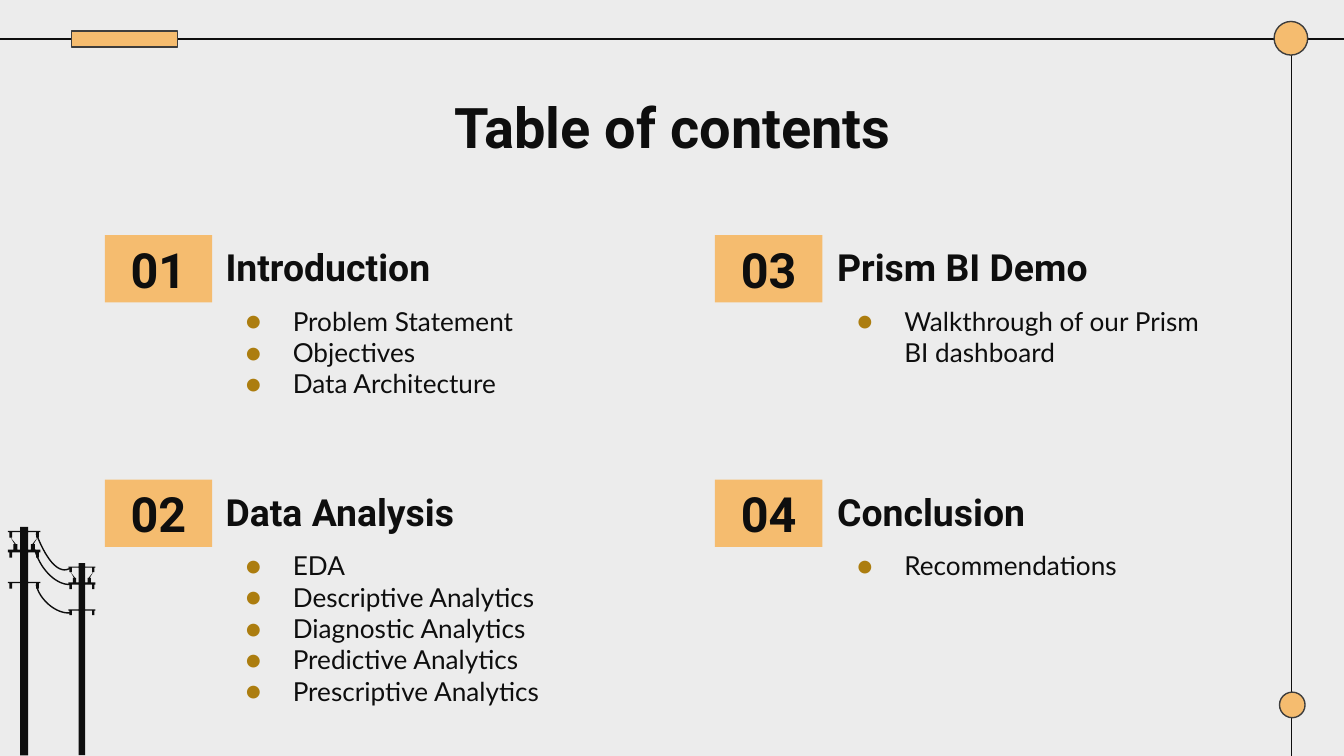
from lxml import etree
from pptx import Presentation
from pptx.dml.color import RGBColor
from pptx.enum.shapes import MSO_CONNECTOR, MSO_SHAPE
from pptx.enum.text import MSO_ANCHOR, MSO_AUTO_SIZE, PP_ALIGN
from pptx.oxml.ns import qn
from pptx.util import Inches, Pt

BACKGROUND = RGBColor(0xEC, 0xEC, 0xEC)
INK = RGBColor(0x0E, 0x0E, 0x0E)
ORANGE = RGBColor(0xF5, 0xBC, 0x6F)
OUTLINE = RGBColor(0x3D, 0x3D, 0x3D)
BULLET = RGBColor(0xAC, 0x7D, 0x0F)

SECTIONS = [
    ("Introduction", 3.09, 1.15,
     ["Problem Statement", "Objectives", "Data Architecture"]),
    ("Data Analysis", 3.54, 1.39,
     ["EDA", "Descriptive Analytics", "Diagnostic Analytics",
      "Predictive Analytics", "Prescriptive Analytics"]),
    ("Prism BI Demo", 3.49, 1.15, ["Walkthrough of our Prism BI dashboard"]),
    ("Conclusion", 3.09, 0.97, ["Recommendations"]),
]
BADGE_LEFTS = (0.78, 5.32)
TEXT_LEFTS = (1.58, 6.13)
ROW_TOPS = (1.75, 3.57)

POLE_HALF = [
    (0.03, 0), (0.03, 0.03), (0.12, 0.03), (0.12, 0.04), (0.11, 0.04),
    (0.11, 0.08), (0.1, 0.08), (0.07, 0.13), (0.08, 0.13), (0.08, 0.17),
    (0.12, 0.17), (0.12, 0.19), (0.11, 0.19), (0.11, 0.23), (0.09, 0.23),
    (0.09, 0.19), (0.03, 0.19), (0.03, 0.41), (0.12, 0.41), (0.12, 0.42),
    (0.11, 0.42), (0.11, 0.46), (0.09, 0.46), (0.09, 0.42), (0.03, 0.42),
    (0.03, 1.7),
]
POLE_GAP = [(0.03, 0.17), (0.05, 0.17), (0.05, 0.13), (0.06, 0.13),
            (0.1, 0.08), (0.09, 0.08), (0.09, 0.04), (0.03, 0.04)]
WIRES = [
    [(0.52, 4.23), (0.41, 4.29), (0.31, 4.08), (0.27, 3.97)],
    [(0.52, 4.35), (0.4, 4.35), (0.29, 4.21), (0.26, 4.09)],
    [(0.52, 4.56), (0.42, 4.57), (0.29, 4.46), (0.27, 4.35)],
]


def add_line(slide, start, end):
    line = slide.shapes.add_connector(
        MSO_CONNECTOR.STRAIGHT, *map(Inches, start + end))
    line.line.color.rgb = INK
    line.line.width = Pt(0.75)
    etree.SubElement(line._element.spPr, qn("a:effectLst"))


def add_orange_shape(slide, kind, box, outlined=True):
    shape = slide.shapes.add_shape(kind, *map(Inches, box))
    shape.shadow.inherit = False
    shape.fill.solid()
    shape.fill.fore_color.rgb = ORANGE
    if outlined:
        shape.line.color.rgb = OUTLINE
        shape.line.width = Pt(0.75)
    else:
        shape.line.fill.background()
    return shape


def mirror(points):
    return [(-x, y) for x, y in reversed(points)]


def add_pole(slide, center, top, scale):
    contours = [POLE_HALF + mirror(POLE_HALF), POLE_GAP, mirror(POLE_GAP)]
    placed = [[(Inches(center + x * scale), Inches(top + y * scale))
               for x, y in contour] for contour in contours]
    builder = slide.shapes.build_freeform(*placed[0][0])
    builder.add_line_segments(placed[0][1:], close=True)
    for gap in placed[1:]:
        builder.move_to(*gap[0])
        builder.add_line_segments(gap[1:], close=True)
    pole = builder.convert_to_shape()
    pole.shadow.inherit = False
    pole.fill.solid()
    pole.fill.fore_color.rgb = INK
    pole.line.fill.background()


def curve_point(controls, t):
    weights = ((1 - t) ** 3, 3 * t * (1 - t) ** 2, 3 * t * t * (1 - t), t ** 3)
    return tuple(Inches(sum(w * v for w, v in zip(weights, values)))
                 for values in zip(*controls))


def add_wire(slide, controls, steps=16):
    points = [curve_point(controls, step / steps) for step in range(steps + 1)]
    builder = slide.shapes.build_freeform(*points[0])
    builder.add_line_segments(points[1:], close=False)
    wire = builder.convert_to_shape()
    wire.shadow.inherit = False
    wire.fill.background()
    wire.line.color.rgb = INK
    wire.line.width = Pt(0.75)


def add_bullet(paragraph, font):
    properties = paragraph._p.get_or_add_pPr()
    properties.set("marL", str(Inches(0.5)))
    properties.set("indent", str(Inches(-0.35)))
    color = etree.SubElement(properties, qn("a:buClr"))
    etree.SubElement(color, qn("a:srgbClr"), val=str(BULLET))
    etree.SubElement(properties, qn("a:buFont"), typeface=font)
    etree.SubElement(properties, qn("a:buChar"), char="●")


def write_text(shape, lines, size, font="Roboto", bold=True,
               align=PP_ALIGN.LEFT, anchor=MSO_ANCHOR.TOP, bulleted=False):
    frame = shape.text_frame
    frame.word_wrap = True
    frame.auto_size = MSO_AUTO_SIZE.NONE
    frame.vertical_anchor = anchor
    frame.margin_left = frame.margin_right = Inches(0.1)
    frame.margin_top = frame.margin_bottom = Inches(0.1)
    frame.text = "\n".join(lines)
    for paragraph in frame.paragraphs:
        paragraph.alignment = align
        if bulleted:
            add_bullet(paragraph, font)
        paragraph.font.name = font
        paragraph.font.size = Pt(size)
        paragraph.font.bold = bold
        paragraph.font.color.rgb = INK


def add_title(slide, text):
    title = slide.shapes.title
    title.left, title.top = Inches(0.79), Inches(0.59)
    title.width, title.height = Inches(8.43), Inches(0.63)
    write_text(title, [text], 30, align=PP_ALIGN.CENTER)


def add_badge(slide, number, left, top):
    badge = add_orange_shape(slide, MSO_SHAPE.RECTANGLE,
                             (left, top, 0.8, 0.5), outlined=False)
    write_text(badge, [f"{number:02}"], 26, align=PP_ALIGN.CENTER,
               anchor=MSO_ANCHOR.MIDDLE)


def add_heading(slide, heading, left, top, width):
    box = slide.shapes.add_textbox(*map(Inches, (left, top, width, 0.5)))
    write_text(box, [heading], 20, anchor=MSO_ANCHOR.BOTTOM)


def add_items(slide, items, left, top, height):
    box = slide.shapes.add_textbox(*map(Inches, (left, top, 3.09, height)))
    write_text(box, items, 14, font="Lato", bold=False, bulleted=True)


def add_frame(slide):
    add_line(slide, (-0.01, 0.29), (10.01, 0.29))
    add_line(slide, (9.61, 0.28), (9.61, 5.63))
    add_orange_shape(slide, MSO_SHAPE.RECTANGLE, (0.53, 0.23, 0.79, 0.12))
    add_orange_shape(slide, MSO_SHAPE.OVAL, (9.48, 0.16, 0.25, 0.25))
    add_orange_shape(slide, MSO_SHAPE.OVAL, (9.52, 5.15, 0.19, 0.19))


def main():
    presentation = Presentation()
    presentation.slide_width = Inches(10)
    presentation.slide_height = Inches(10 * 9 / 16)
    slide = presentation.slides.add_slide(presentation.slide_layouts[5])
    slide.background.fill.solid()
    slide.background.fill.fore_color.rgb = BACKGROUND

    add_frame(slide)
    add_pole(slide, 0.61, 4.19, 0.84)
    add_pole(slide, 0.18, 3.92, 1)
    for controls in WIRES:
        add_wire(slide, controls)
    add_title(slide, "Table of contents")
    for index, (heading, width, height, items) in enumerate(SECTIONS):
        column, row = divmod(index, len(ROW_TOPS))
        top = ROW_TOPS[row]
        add_badge(slide, index + 1, BADGE_LEFTS[column], top)
        add_heading(slide, heading, TEXT_LEFTS[column], top, width)
        add_items(slide, items, TEXT_LEFTS[column], top + 0.42, height)
    presentation.save("out.pptx")


if __name__ == "__main__":
    main()
